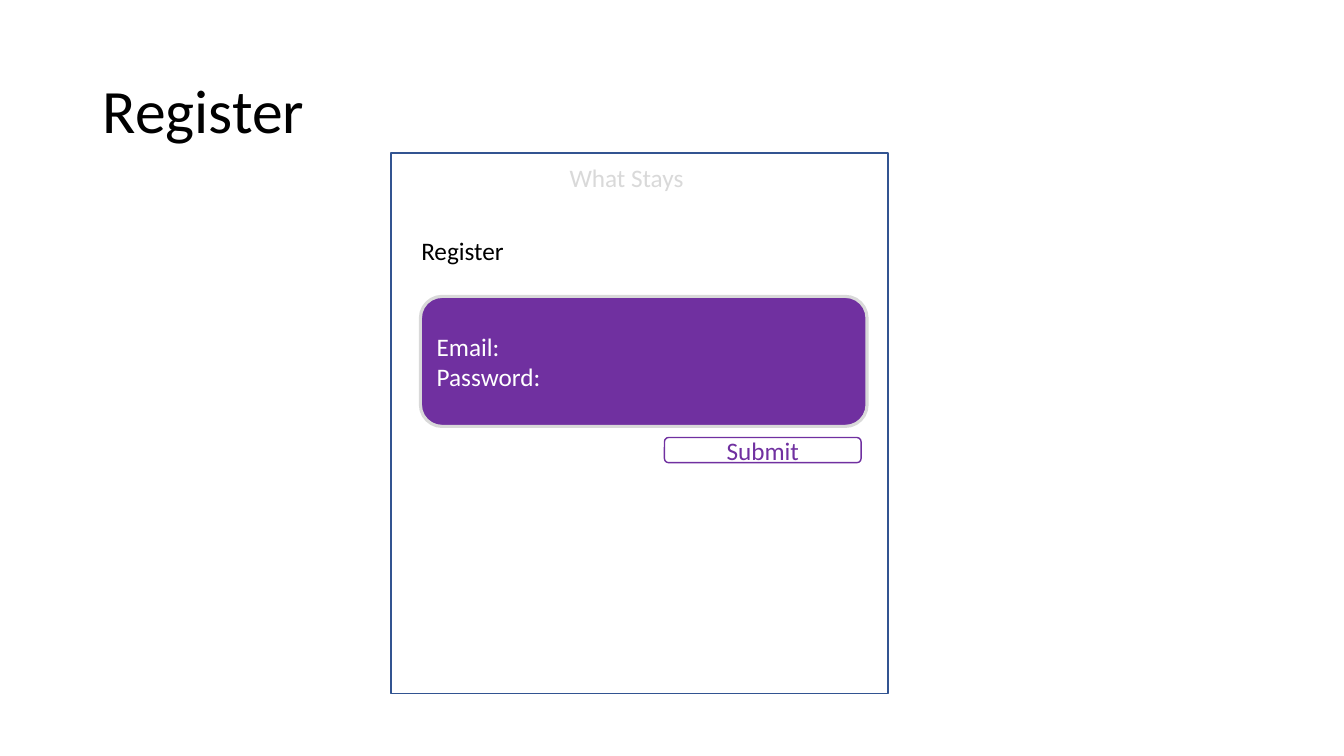
from pptx import Presentation
from pptx.dml.color import RGBColor
from pptx.enum.shapes import MSO_SHAPE
from pptx.enum.text import MSO_ANCHOR, PP_ALIGN
from pptx.util import Inches, Pt

RECT, ROUND = MSO_SHAPE.RECTANGLE, MSO_SHAPE.ROUNDED_RECTANGLE
TOP, MIDDLE = MSO_ANCHOR.TOP, MSO_ANCHOR.MIDDLE
LEFT, CENTER = PP_ALIGN.LEFT, PP_ALIGN.CENTER

FONT = "Calibri"
COLORS = {"black": "000000", "white": "FFFFFF", "gray": "D9D9D9",
          "purple": "7030A0", "blue": "325491"}

TITLE = ("Register", (0.92, 0.4, 11.5, 1.45))
SCREEN = (3.88, 1.52, 4.93, 5.36)
LABELS = [
    ("What Stays", (5.55, 1.56, 1.58, 0.42), "gray"),
    ("Register", (4.08, 2.29, 2.52, 0.4), "black"),
]
FORM = ("Email:\nPassword:", (4.17, 2.94, 4.43, 1.29))
BUTTON = ("Submit", (6.59, 4.34, 1.95, 0.25))


def rgb(name):
    return RGBColor.from_string(COLORS[name])


def write(sp, text, color="black", size=18, align=LEFT, anchor=TOP, spacing=1.0):
    tf = sp.text_frame
    tf.word_wrap = True
    tf.vertical_anchor = anchor
    tf.text = text
    for p in tf.paragraphs:
        p.alignment = align
        p.line_spacing = spacing
        for r in p.runs:
            r.font.name = FONT
            r.font.size = Pt(size)
            r.font.color.rgb = rgb(color)


def add_box(s, kind, box, line, width, fill=None):
    sp = s.shapes.add_shape(kind, *map(Inches, box))
    sp.shadow.inherit = False
    if fill:
        sp.fill.solid()
        sp.fill.fore_color.rgb = rgb(fill)
    else:
        sp.fill.background()
    sp.line.color.rgb = rgb(line)
    sp.line.width = Pt(width)
    return sp


def main():
    prs = Presentation()
    prs.slide_width, prs.slide_height = Inches(13.33), Inches(7.5)
    s = prs.slides.add_slide(prs.slide_layouts[5])

    text, box = TITLE
    title = s.shapes.title
    title.left, title.top, title.width, title.height = map(Inches, box)
    write(title, text, size=44, anchor=MIDDLE, spacing=0.9)

    add_box(s, RECT, SCREEN, "blue", 1)
    for text, box, color in LABELS:
        write(s.shapes.add_textbox(*map(Inches, box)), text, color=color)

    text, box = FORM
    form = add_box(s, ROUND, box, "gray", 2.25, fill="purple")
    write(form, text, color="white", anchor=MIDDLE)

    text, box = BUTTON
    button = add_box(s, ROUND, box, "purple", 1, fill="white")
    write(button, text, color="purple", align=CENTER, anchor=MIDDLE)

    prs.save("out.pptx")


if __name__ == "__main__":
    main()
